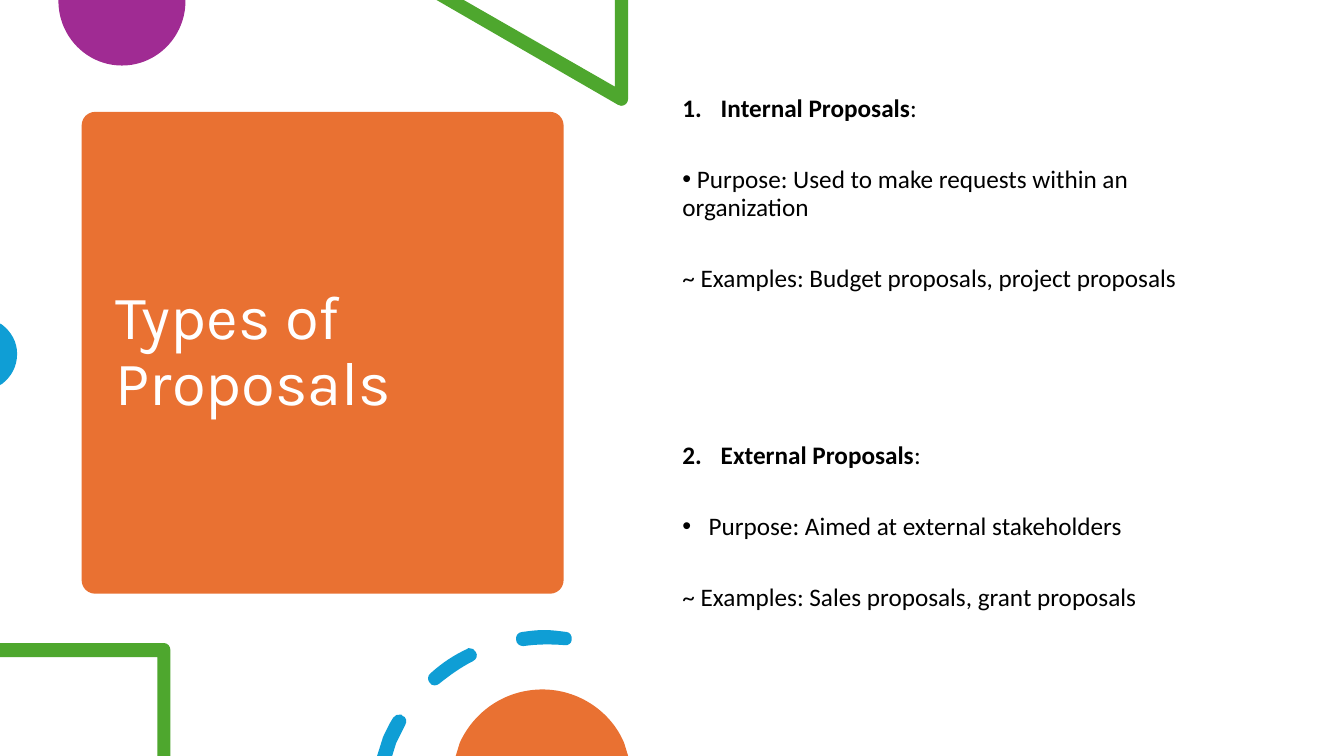
from dataclasses import dataclass
from lxml.etree import SubElement
from pptx import Presentation
from pptx.dml.color import RGBColor
from pptx.enum.shapes import MSO_SHAPE
from pptx.enum.text import MSO_ANCHOR
from pptx.oxml.ns import qn
from pptx.util import Pt

PX = 9144


@dataclass(frozen=True)
class Theme:
    orange: str = "E97132"
    purple: str = "A02B93"
    green: str = "4EA72E"
    blue: str = "0F9ED5"
    white: str = "FFFFFF"
    black: str = "000000"
    title_font: str = "Karla"
    body_font: str = "Calibri"
    title_size: int = 44
    body_size: int = 18
    line_spacing: float = 0.9
    gap: float = 31.5
    group_gap: int = 107


class SlideBuilder:
    def __init__(self, prs, theme):
        self.theme = theme
        self.s = prs.slides.add_slide(prs.slide_layouts[6])

    def paint(self, sp, color):
        sp.shadow.inherit = False
        sp.fill.solid()
        sp.fill.fore_color.rgb = RGBColor.from_string(color)
        sp.line.fill.background()

    def card(self, x, y, w, h, color, radius):
        sp = self.s.shapes.add_shape(MSO_SHAPE.ROUNDED_RECTANGLE, x * PX, y * PX, w * PX, h * PX)
        sp.adjustments[0] = radius
        self.paint(sp, color)

    def outline(self, color, *contours):
        builder = self.s.shapes.build_freeform(*contours[0][0], scale=PX)
        for i, (start, *steps) in enumerate(contours):
            if i:
                builder.move_to(*start)
            builder.add_line_segments([step[-2:] for step in steps], close=True)
        sp = builder.convert_to_shape()
        self.paint(sp, color)
        self.bend(sp, [step for contour in contours for step in contour[1:]])

    def bend(self, sp, steps):
        left, top = sp.left // PX, sp.top // PX
        for line, step in zip(list(sp._element.iter(qn("a:lnTo"))), steps):
            if len(step) == 2:
                continue
            line.clear()
            curve = line.makeelement(qn("a:cubicBezTo"))
            for x, y in zip(step[::2], step[1::2]):
                SubElement(curve, qn("a:pt"), x=str(x - left), y=str(y - top))
            line.getparent().replace(line, curve)

    def text_frame(self, x, y, w, h, anchor):
        tf = self.s.shapes.add_textbox(x * PX, y * PX, w * PX, h * PX).text_frame
        tf.word_wrap = True
        tf.vertical_anchor = anchor
        return tf

    def run(self, p, text, font, size, color, bold=False):
        r = p.add_run()
        r.text = text
        r.font.name, r.font.size, r.font.bold = font, Pt(size), bold
        r.font.color.rgb = RGBColor.from_string(color)

    def title(self, x, y, w, h, text):
        t = self.theme
        p = self.text_frame(x, y, w, h, MSO_ANCHOR.MIDDLE).paragraphs[0]
        p.line_spacing = t.line_spacing
        self.run(p, text, t.title_font, t.title_size, t.white)

    def bullet(self, p, indent, hanging, tag, **attrs):
        pPr = p._p.get_or_add_pPr()
        pPr.set("marL", str(indent * PX))
        pPr.set("indent", str(-hanging * PX))
        if tag == "a:buChar":
            SubElement(pPr, qn("a:buFont"), typeface="Arial")
        SubElement(pPr, qn(tag), **attrs)

    def body(self, x, y, w, h, groups):
        t = self.theme
        tf = self.text_frame(x, y, w, h, MSO_ANCHOR.TOP)
        p = tf.paragraphs[0]
        for number, (heading, purpose, examples, indent, hanging) in enumerate(groups, 1):
            if number > 1:
                p.space_after = Pt(t.group_gap)
                p = tf.add_paragraph()
            self.run(p, heading, t.body_font, t.body_size, t.black, True)
            self.run(p, ":", t.body_font, t.body_size, t.black)
            lines = [p]
            for text in (purpose, examples):
                p = tf.add_paragraph()
                self.run(p, text, t.body_font, t.body_size, t.black)
                lines.append(p)
            for line in lines:
                line.line_spacing = t.line_spacing
                line.space_after = Pt(t.gap)
            self.bullet(lines[0], 38, 38, "a:buAutoNum", type="arabicPeriod", startAt=str(number))
            self.bullet(lines[1], indent, hanging, "a:buChar", char="•")


def main():
    prs = Presentation()
    prs.slide_width, prs.slide_height = 1333 * PX, 750 * PX
    theme = Theme()
    slide = SlideBuilder(prs, theme)

    slide.card(81, 111, 478, 478, theme.orange, 0.028)
    slide.title(105, 122, 431, 456, "Types of Proposals")
    slide.outline(theme.purple, [
        (184, 0), (58, 0), (58, 1), (58, 36, 86, 65, 121, 65), (156, 65, 184, 36, 184, 1)])
    slide.outline(theme.green, [
        (623, 0), (610, 0), (610, 86), (460, 0), (433, 0), (613, 104),
        (614, 105, 615, 105, 616, 105), (620, 105, 623, 102, 623, 98)])
    slide.outline(theme.blue, [
        (0, 321), (0, 382), (2, 381), (11, 374, 17, 364, 17, 351), (17, 339, 11, 329, 2, 322)])
    slide.body(667, 90, 575, 645, [
        ("Internal Proposals",
         " Purpose: Used to make requests within an organization",
         "~ Examples: Budget proposals, project proposals", 0, 25),
        ("External Proposals",
         "Purpose: Aimed at external stakeholders",
         "~ Examples: Sales proposals, grant proposals", 26, 26),
    ])
    slide.outline(theme.green, [
        (163, 638), (0, 638), (0, 652), (156, 652), (156, 750), (169, 750), (169, 645),
        (169, 641, 166, 638, 163, 638)])
    slide.outline(
        theme.blue,
        [(397, 709), (394, 708, 392, 710, 390, 712), (386, 718, 383, 725, 380, 731),
         (374, 750), (389, 750), (393, 737), (396, 731, 399, 725, 402, 719),
         (404, 716, 403, 711, 399, 710), (399, 709, 398, 709, 397, 709)],
        [(465, 643), (465, 643, 464, 643, 463, 644), (450, 650, 438, 658, 427, 668),
         (424, 670, 424, 675, 426, 677), (427, 679, 429, 680, 431, 680),
         (433, 680, 435, 679, 436, 678), (446, 670, 457, 662, 469, 656),
         (473, 654, 474, 650, 472, 647), (471, 644, 468, 643, 465, 643)],
        [(540, 625), (532, 625, 525, 626, 518, 627), (514, 627, 511, 631, 512, 635),
         (512, 638, 515, 641, 519, 641), (533, 639, 546, 639, 560, 640),
         (563, 641, 567, 638, 567, 635), (568, 631, 565, 627, 562, 627),
         (554, 626, 547, 625, 540, 625)])
    slide.outline(theme.orange, [
        (538, 684), (501, 684, 470, 706, 456, 737), (452, 750), (623, 750), (619, 737),
        (606, 706, 574, 684, 538, 684)])
    prs.save("out.pptx")


if __name__ == "__main__":
    main()
